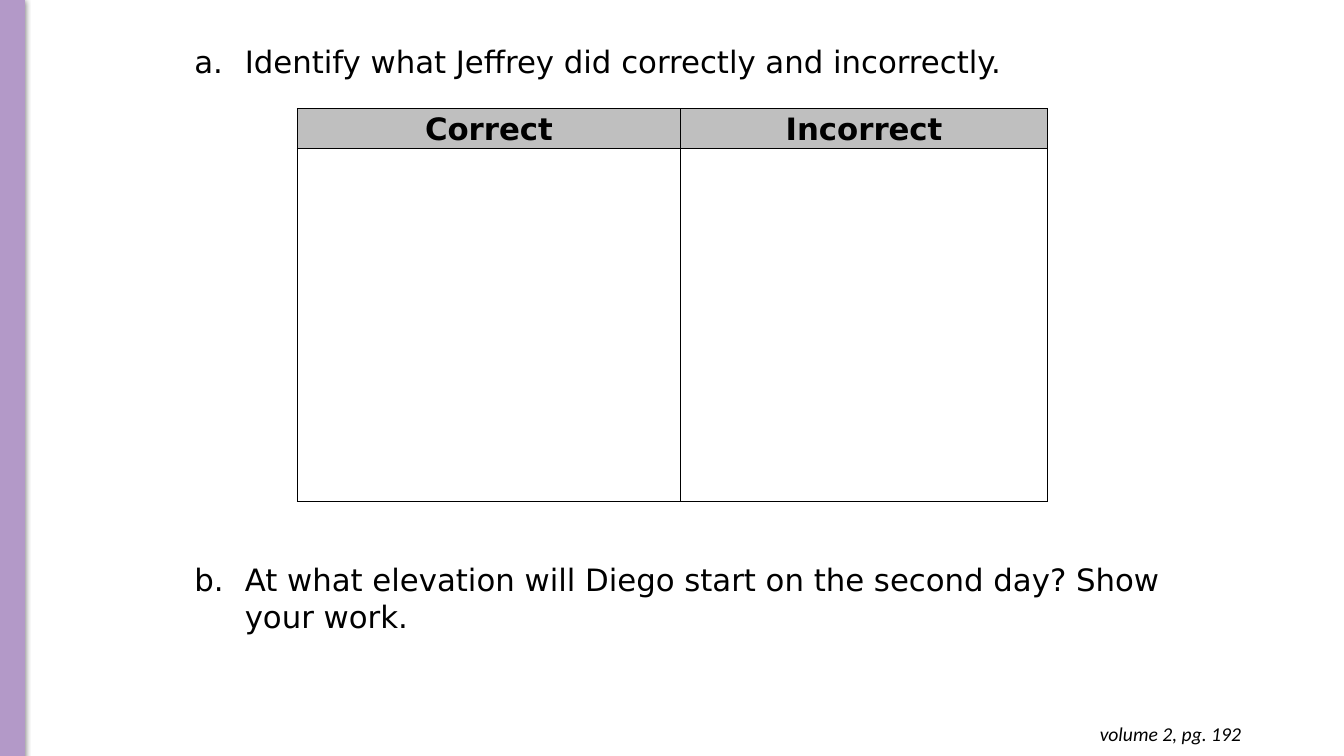
from pptx import Presentation
from pptx import util as u
from pptx.dml.color import RGBColor
from pptx.enum import shapes, text
from pptx.oxml import parse_xml
from pptx.oxml.ns import nsdecls

BLACK, GREY, PURPLE = "000000", "BFBFBF", "B399C8"
QUESTION = {"name": "DejaVu Sans", "size": u.Pt(22)}
HEADING = QUESTION | {"bold": True}
REFERENCE = {"name": "Calibri", "size": u.Pt(14), "italic": True}


def colour(value):
    return RGBColor.from_string(value)


def element(tag, attributes="", content=""):
    return parse_xml(f"<a:{tag} {nsdecls('a')} {attributes}>{content}</a:{tag}>")


def set_values(target, values):
    for name, value in values.items():
        setattr(target, name, value)


class SlideBuilder:
    """Hold the slide and its style, and add each kind of element."""

    def __init__(self, deck):
        self.slide = deck.slides.add_slide(deck.slide_layouts[6])

    def add_span(self, para, wording, font, **layout):
        set_values(para, layout)
        span = para.add_run()
        span.text = wording
        set_values(span.font, font)
        span.font.color.rgb = colour(BLACK)

    def text_box(self, place, inset):
        frame = self.slide.shapes.add_textbox(*map(u.Inches, place)).text_frame
        set_values(frame, {"word_wrap": True, "margin_top": inset, "margin_bottom": inset})
        return frame

    def side_bar(self, place):
        bar = self.slide.shapes.add_shape(shapes.MSO_SHAPE.RECTANGLE, *map(u.Inches, place))
        bar.fill.solid()
        bar.fill.fore_color.rgb = colour(PURPLE)
        bar.line.color.rgb = colour(PURPLE)
        bar.line.width = u.Pt(0.75)
        bar.shadow.inherit = False
        shadow = element(
            "outerShdw",
            f'blurRad="{u.Pt(4.5)}" dist="{u.Pt(1.5)}" dir="5400000" rotWithShape="0"',
            f'<a:srgbClr val="{BLACK}"><a:alpha val="50000"/></a:srgbClr>',
        )
        bar._element.spPr.find("{*}effectLst").append(shadow)

    def questions(self, place, wordings, gap):
        frame = self.text_box(place, u.Inches(0.05))
        for number, wording in enumerate(wordings):
            para = frame.add_paragraph() if number else frame.paragraphs[0]
            properties = para._p.get_or_add_pPr()
            properties.set("marL", str(u.Inches(1)))
            properties.set("indent", str(u.Inches(-0.5)))
            properties.append(element("buClr", content=f'<a:srgbClr val="{BLACK}"/>'))
            properties.append(element("buFont", 'typeface="DejaVu Sans"'))
            properties.append(element("buAutoNum", 'type="alphaLcPeriod"'))
            self.add_span(para, wording, QUESTION)
            if number:
                para.space_before = gap

    def answer_table(self, place, headings, widths, heights):
        table = self.slide.shapes.add_table(
            len(heights), len(widths), *map(u.Inches, place)
        ).table
        set_values(table, {"first_row": False, "horz_banding": False})
        for column, width in zip(table.columns, widths):
            column.width = u.Inches(width)
        for row, height in zip(table.rows, heights):
            row.height = u.Inches(height)
        for cell in table.iter_cells():
            self.border(cell)
            cell.fill.background()
        for cell, heading in zip(table.rows[0].cells, headings):
            cell.fill.solid()
            cell.fill.fore_color.rgb = colour(GREY)
            set_values(cell, {
                "vertical_anchor": text.MSO_ANCHOR.MIDDLE,
                "margin_left": u.Inches(0.07), "margin_right": u.Inches(0.07),
                "margin_top": 0, "margin_bottom": 0,
            })
            self.add_span(cell.text_frame.paragraphs[0], heading, HEADING,
                          alignment=text.PP_ALIGN.CENTER, line_spacing=1.07)

    def border(self, cell):
        properties = cell._tc.get_or_add_tcPr()
        for side in "LRTB":
            properties.append(element(
                f"ln{side}", f'w="{u.Pt(1)}"',
                f'<a:solidFill><a:srgbClr val="{BLACK}"/></a:solidFill>',
            ))

    def page_reference(self, place, wording):
        frame = self.text_box(place, u.Inches(0.1))
        self.add_span(frame.paragraphs[0], wording, REFERENCE,
                      alignment=text.PP_ALIGN.RIGHT)


def main():
    deck = Presentation()
    deck.slide_width, deck.slide_height = u.Inches(13.33), u.Inches(7.5)
    page = SlideBuilder(deck)
    page.side_bar((0, -0.01, 0.24, 7.51))
    page.questions(
        (1.33, 0.37, 10.67, 6.02),
        ["Identify what Jeffrey did correctly and incorrectly.",
         "At what elevation will Diego start on the second day? Show your work."],
        gap=u.Pt(344),
    )
    page.answer_table((2.95, 1.08, 7.44, 3.89), ["Correct", "Incorrect"],
                      widths=[3.8, 3.64], heights=[0.39, 3.5])
    page.page_reference((9.53, 7.06, 2.88, 0.44), "volume 2, pg. 192")
    deck.save("out.pptx")


if __name__ == "__main__":
    main()
